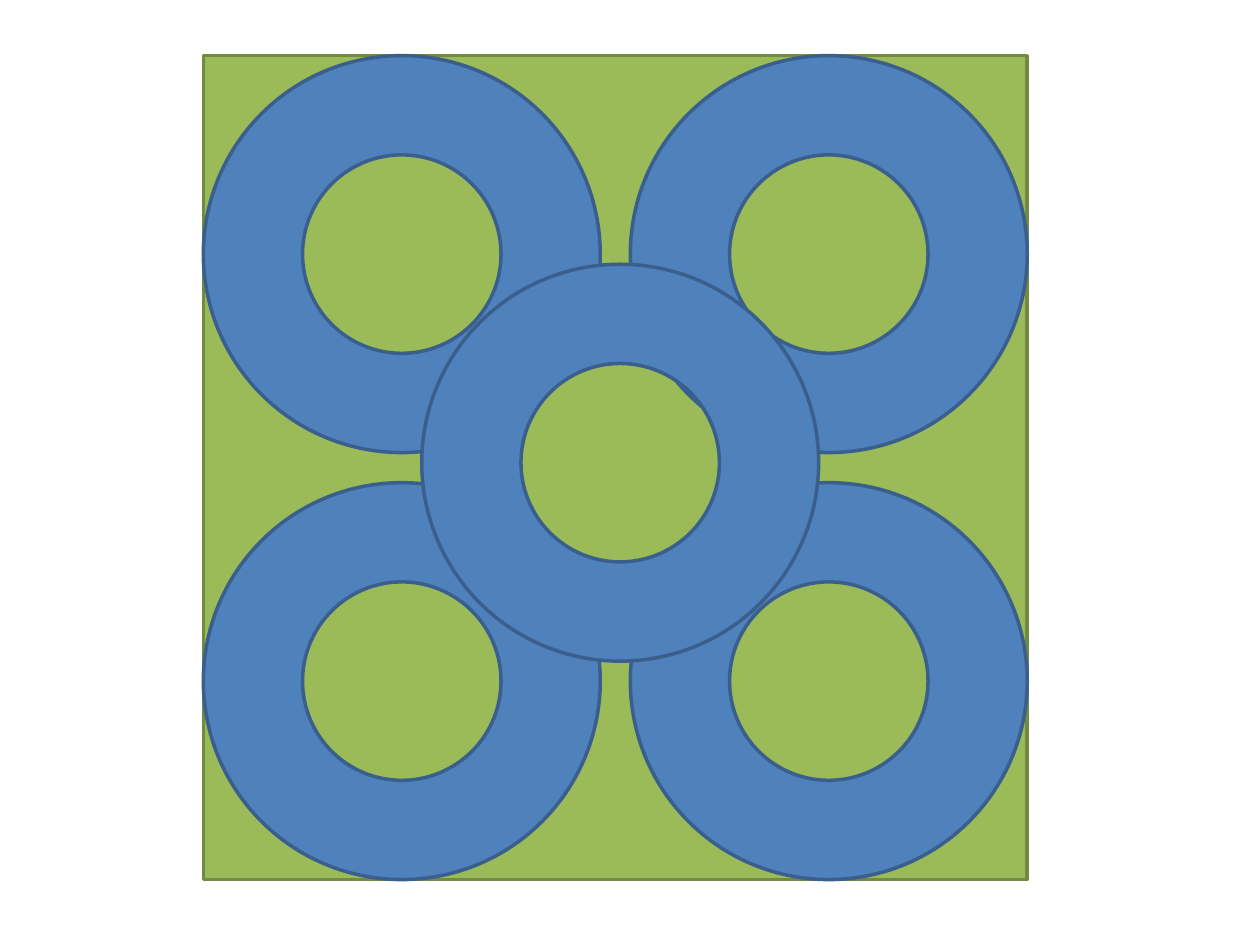
"""Build a slide with five rings on a green square."""
from itertools import product

from pptx import Presentation
from pptx.dml.color import RGBColor
from pptx.enum.shapes import MSO_SHAPE as Shape
from pptx.util import Pt


def color(value):
    return RGBColor.from_string(value)


class Canvas:
    line_width = 2
    square_colors = ("9BBB59", "738A42")
    ring_colors = ("4F81BD", "3A5F8C")

    def __init__(self, slide):
        self.slide = slide

    def figure(self, kind, left, top, size, colors):
        figure = self.slide.shapes.add_shape(
            kind, Pt(left), Pt(top), Pt(size), Pt(size))
        fill, line = colors
        figure.shadow.inherit = False
        figure.fill.solid()
        figure.fill.fore_color.rgb = color(fill)
        figure.line.color.rgb = color(line)
        figure.line.width = Pt(self.line_width)
        return figure

    def square(self, left, top, size):
        return self.figure(Shape.RECTANGLE, left, top, size, self.square_colors)

    def ring(self, left, top, size):
        return self.figure(Shape.DONUT, left, top, size, self.ring_colors)


deck = Presentation()
deck.slide_width, deck.slide_height = Pt(720), Pt(540)
canvas = Canvas(deck.slides.add_slide(deck.slide_layouts[6]))

LEFT, TOP = 116.2, 31.8
SQUARE, RING = 470.8, 226.8
STEP = SQUARE - RING

canvas.square(LEFT, TOP, SQUARE)
for row, column in product(range(2), repeat=2):
    canvas.ring(LEFT + column * STEP, TOP + row * STEP, RING)
canvas.ring(241, 151, RING)

deck.save("out.pptx")
